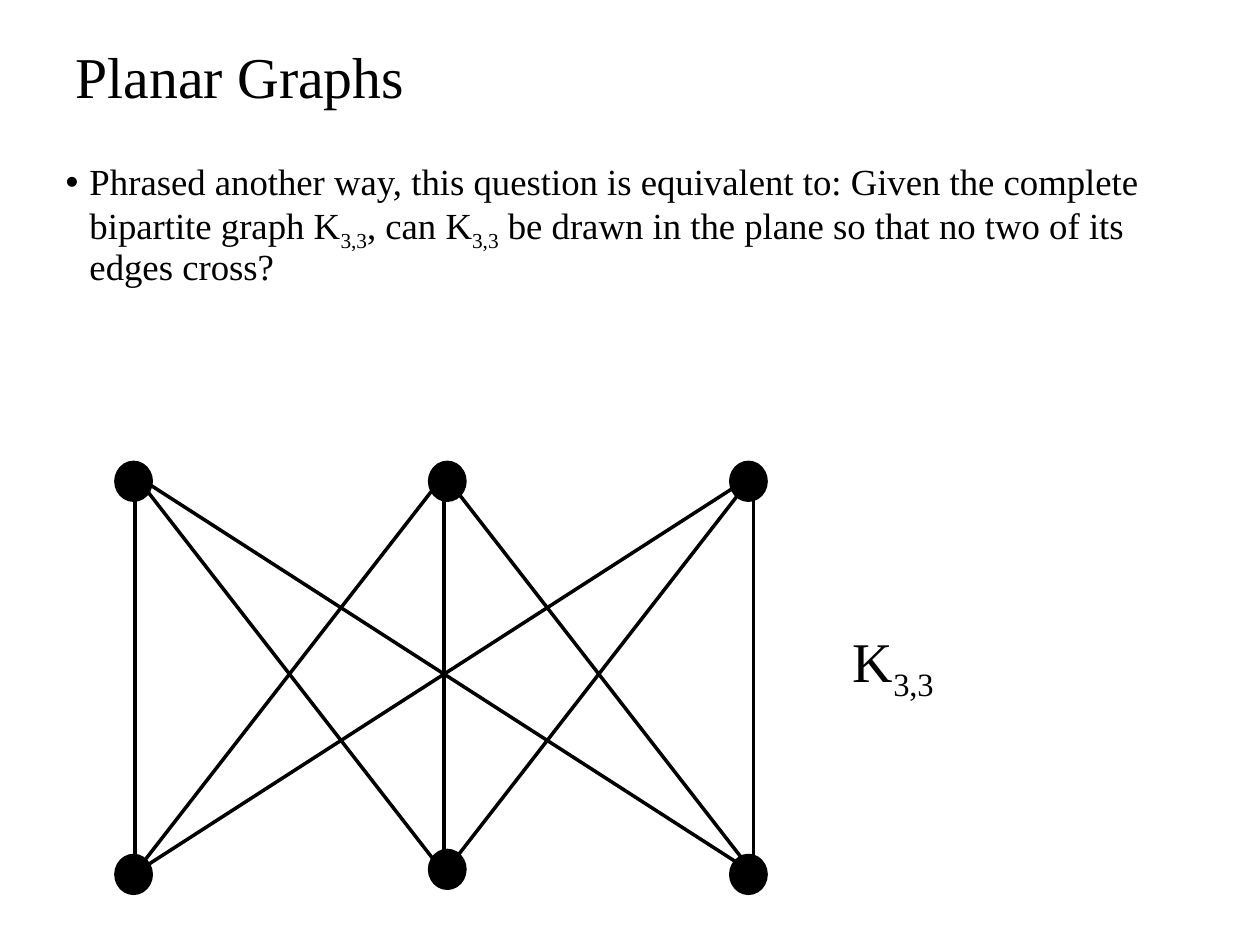
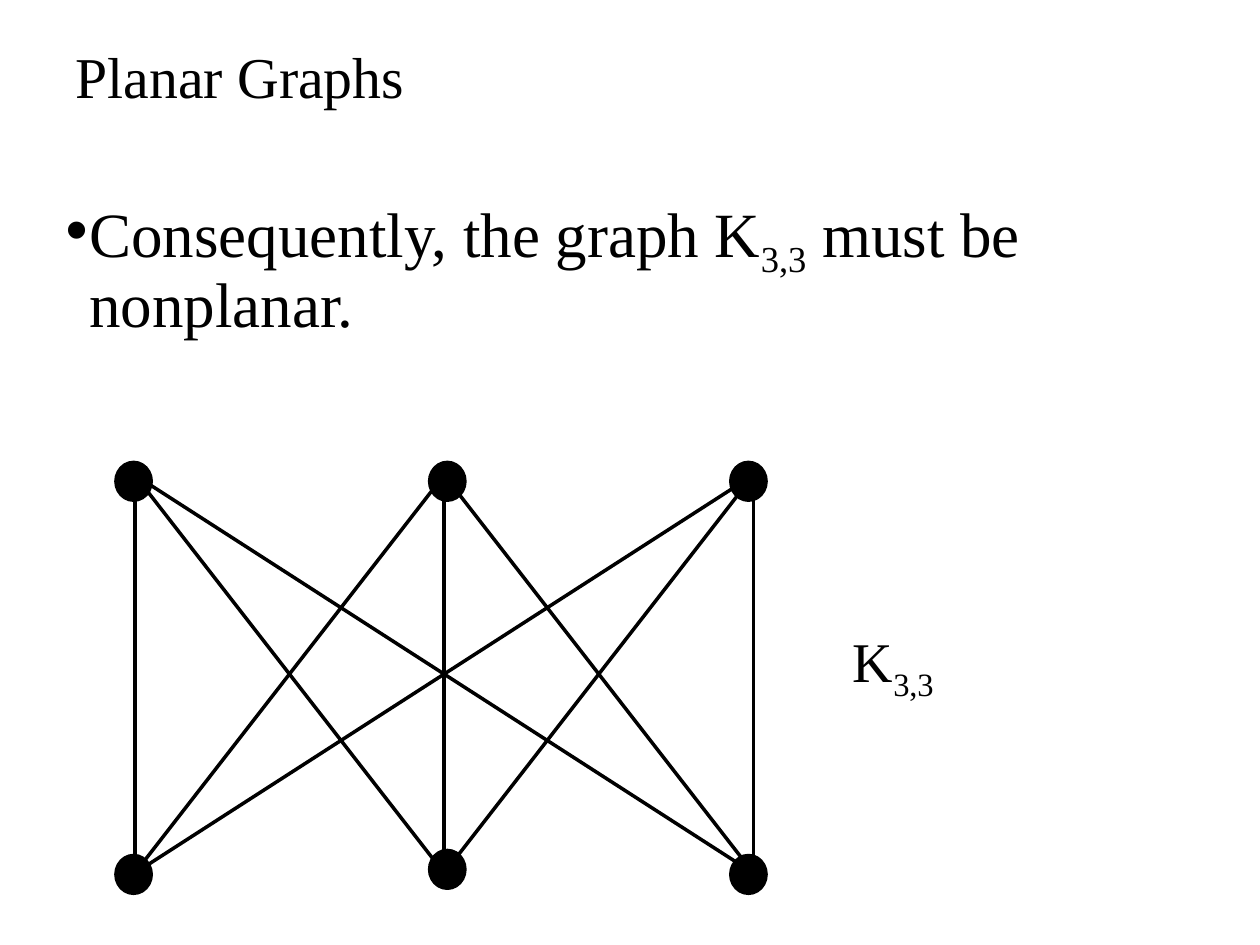
from itertools import product

from lxml.etree import SubElement
from pptx import Presentation
from pptx.dml.color import RGBColor
from pptx.enum.shapes import MSO_CONNECTOR, MSO_SHAPE
from pptx.enum.text import MSO_ANCHOR, MSO_AUTO_SIZE, PP_ALIGN
from pptx.oxml.ns import qn
from pptx.util import Inches, Pt

TITLE = "Planar Graphs"
SUBSCRIPT = "3,3"
# Text pieces alternate between normal text and subscript.
GRAPH_NAME = ["K", SUBSCRIPT]
SLIDES = [
    {"body": ["Phrased another way, this question is equivalent to: "
              "Given the complete bipartite graph K", SUBSCRIPT,
              ", can K", SUBSCRIPT,
              " be drawn in the plane so that no two of its edges cross?"],
     "size": 21, "box": (0.42, 1.25, 9.17, 2.17)},
    {"body": ["Consequently, the graph K", SUBSCRIPT, " must be nonplanar."],
     "size": 36, "box": (0.42, 1.5, 9.17, 1.58)},
]

FONT = "Times New Roman"
COLORS = {"background": "FFFFFF", "ink": "000000"}
TITLE_BOX = (0.5, 0.17, 9, 0.92)
LABEL_BOX = (6.67, 4.92, 1.08, 0.63)
BULLET_INDENT = Inches(0.19)
LINE_WIDTH = Pt(2)

EDGE_LEFT, EDGE_RIGHT = 1.07, 5.98
EDGE_TOP, EDGE_BOTTOM = 3.77, 6.93
EDGE_COLUMNS = [EDGE_LEFT + column * (EDGE_RIGHT - EDGE_LEFT) / 2
                for column in range(3)]
VERTEX_SIZE = (0.28, 0.3)
VERTEX_COLUMNS = [0.92, 3.41, 5.8]
VERTEX_ROWS = [(3.67, 3.67, 3.67), (6.79, 6.75, 6.79)]


def color(name):
    return RGBColor.from_string(COLORS[name])


def inches(lengths):
    return [Inches(length) for length in lengths]


def place(shape, box):
    shape.left, shape.top, shape.width, shape.height = inches(box)


def write(shape, pieces, size):
    """Fill the first paragraph, lowering every second piece to subscript."""
    paragraph = shape.text_frame.paragraphs[0]
    paragraph.alignment = PP_ALIGN.LEFT
    paragraph.space_before = Pt(0)
    for index, piece in enumerate(pieces):
        run = paragraph.add_run()
        run.text = piece
        run.font.name = FONT
        run.font.size = Pt(size)
        run.font.color.rgb = color("ink")
        if index % 2:
            run.font._element.set("baseline", "-25000")
    return paragraph


def add_title(slide):
    title = slide.shapes.title
    place(title, TITLE_BOX)
    title.text_frame.auto_size = MSO_AUTO_SIZE.NONE
    title.text_frame.vertical_anchor = MSO_ANCHOR.MIDDLE
    write(title, [TITLE], 33).line_spacing = 0.9


def add_body(slide, content):
    body = slide.placeholders[1]
    place(body, content["box"])
    body.text_frame.auto_size = MSO_AUTO_SIZE.NONE
    paragraph = write(body, content["body"], content["size"])
    paragraph.line_spacing = 0.9
    properties = paragraph._p.get_or_add_pPr()
    properties.set("marL", str(BULLET_INDENT))
    properties.set("indent", str(-BULLET_INDENT))


def add_label(slide):
    label = slide.shapes.add_textbox(*inches(LABEL_BOX))
    label.text_frame.word_wrap = True
    label.text_frame.auto_size = MSO_AUTO_SIZE.SHAPE_TO_FIT_TEXT
    write(label, GRAPH_NAME, 32)


def add_bipartite_graph(slide):
    shapes = slide.shapes.add_group_shape().shapes
    for start, end in product(EDGE_COLUMNS, repeat=2):
        edge = shapes.add_connector(
            MSO_CONNECTOR.STRAIGHT,
            *inches((start, EDGE_TOP, end, EDGE_BOTTOM)))
        edge.line.color.rgb = color("ink")
        edge.line.width = LINE_WIDTH
        SubElement(edge._element.spPr, qn("a:effectLst"))
    for tops in VERTEX_ROWS:
        for left, top in zip(VERTEX_COLUMNS, tops):
            vertex = shapes.add_shape(
                MSO_SHAPE.OVAL, *inches((left, top, *VERTEX_SIZE)))
            vertex.shadow.inherit = False
            vertex.fill.solid()
            vertex.fill.fore_color.rgb = color("ink")
            vertex.line.color.rgb = color("ink")
            vertex.line.width = LINE_WIDTH


def main():
    presentation = Presentation()
    presentation.slide_width, presentation.slide_height = inches((10, 7.5))
    background = presentation.slide_master.background.fill
    background.solid()
    background.fore_color.rgb = color("background")
    for content in SLIDES:
        slide = presentation.slides.add_slide(presentation.slide_layouts[1])
        add_title(slide)
        add_body(slide, content)
        add_label(slide)
        add_bipartite_graph(slide)
    presentation.save("out.pptx")


if __name__ == "__main__":
    main()
